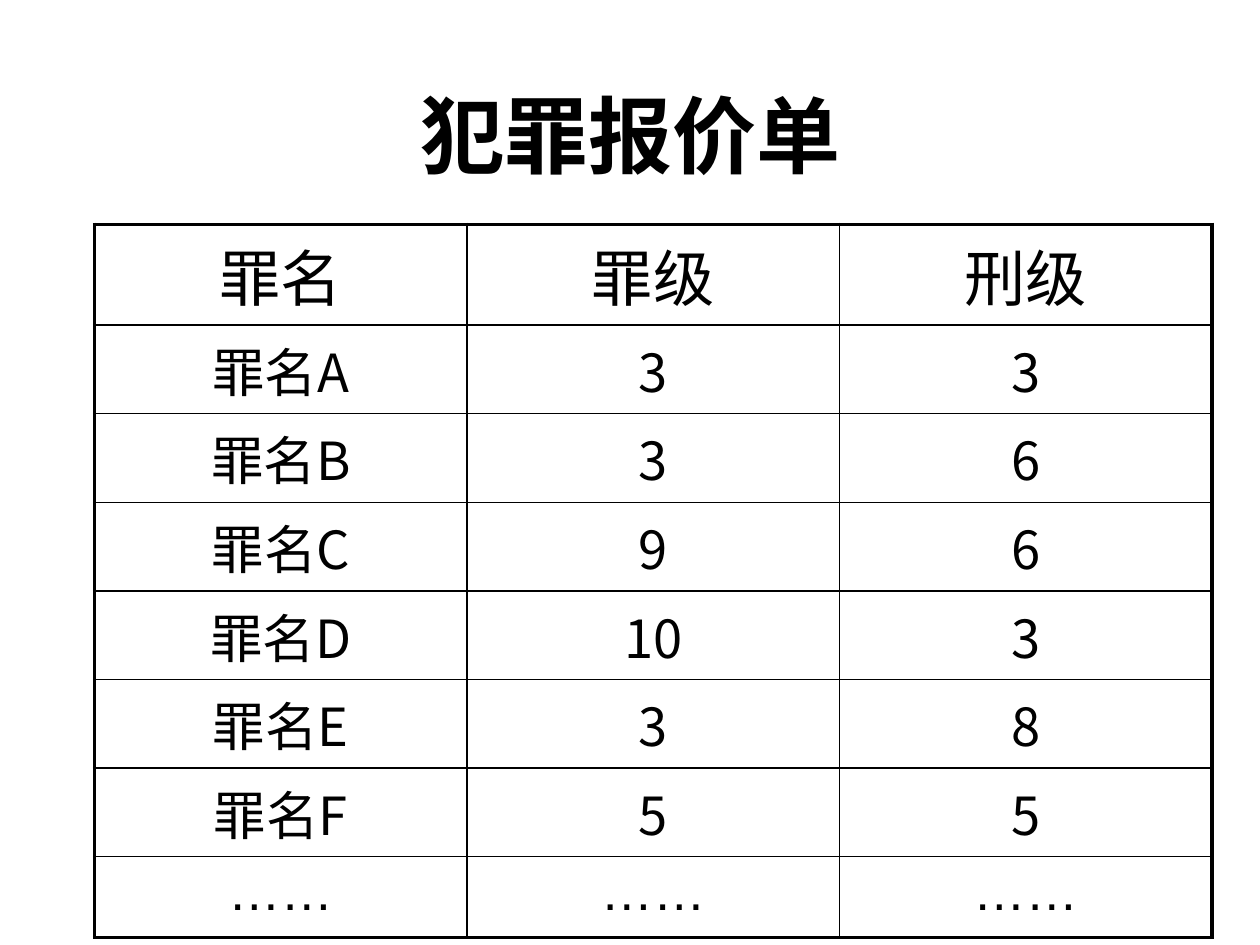
from dataclasses import dataclass

from lxml import etree
from pptx import Presentation
from pptx import util as u
from pptx.dml.color import RGBColor
from pptx.enum import text
from pptx.oxml import ns


@dataclass(frozen=True)
class Theme:
    ink: str = "000000"
    title_font: str = "Arial"
    header_font: str = "Noto Sans CJK JP"
    body_font: str = "Noto Sans CJK SC"
    title_size: int = 48
    header_size: int = 35
    body_size: int = 30
    outer_line: float = 2.25
    inner_line: float = 1


THEME = Theme()

ROWS = [
    ("罪名", "罪级", "刑级"),
    ("罪名A", "3", "3"),
    ("罪名B", "3", "6"),
    ("罪名C", "9", "6"),
    ("罪名D", "10", "3"),
    ("罪名E", "3", "8"),
    ("罪名F", "5", "5"),
    ("……", "……", "……"),
]

# Heights in inches: the rows between header and ellipsis share one block
HEADER_HEIGHT, BODY_HEIGHT, LAST_HEIGHT = 0.8, 4.22, 0.64


def style_paragraph(para, font_name, size, bold=False):
    para.alignment = text.PP_ALIGN.CENTER
    font = para.font
    font.name, font.size, font.bold = font_name, u.Pt(size), bold
    font.color.rgb = RGBColor.from_string(THEME.ink)
    # East Asian characters take the same typeface
    defaults = para._p.pPr.find(ns.qn("a:defRPr"))
    etree.SubElement(defaults, ns.qn("a:ea"), typeface=font_name)


def space_before_percent(para, percent):
    para.space_before = u.Pt(0)
    spacing = para._p.pPr.find(ns.qn("a:spcBef"))
    spacing.remove(spacing[0])
    etree.SubElement(spacing, ns.qn("a:spcPct"), val=str(percent * 1000))


def set_borders(cell, outer_sides):
    properties = cell._tc.get_or_add_tcPr()
    for side in "LRTB":
        width = THEME.outer_line if side in outer_sides else THEME.inner_line
        line = etree.SubElement(properties, ns.qn(f"a:ln{side}"), w=str(u.Pt(width)))
        fill = etree.SubElement(line, ns.qn("a:solidFill"))
        etree.SubElement(fill, ns.qn("a:srgbClr"), val=THEME.ink)


def add_title(page, words):
    box = page.shapes.add_textbox(
        u.Inches(0.63), u.Inches(0.45), u.Inches(8.75), u.Inches(1.22))
    frame = box.text_frame
    frame.word_wrap = True
    frame.vertical_anchor = text.MSO_ANCHOR.MIDDLE
    frame.margin_left = frame.margin_right = frame.margin_top = frame.margin_bottom = 0
    frame.text = words
    style_paragraph(frame.paragraphs[0], THEME.title_font, THEME.title_size, bold=True)


def add_price_table(page, rows):
    last_row, last_column = len(rows) - 1, len(rows[0]) - 1
    table = page.shapes.add_table(
        len(rows), len(rows[0]), u.Inches(0.75), u.Inches(1.78), u.Inches(8.87),
        u.Inches(HEADER_HEIGHT + BODY_HEIGHT + LAST_HEIGHT)).table
    table.first_row = table.horz_banding = False
    heights = {0: HEADER_HEIGHT, last_row: LAST_HEIGHT}
    for row_index, row in enumerate(table.rows):
        row.height = u.Inches(heights.get(row_index, BODY_HEIGHT / (len(rows) - 2)))

    for row_index, values in enumerate(rows):
        # The header and the closing ellipsis row have their own typefaces
        size = THEME.body_size if row_index else THEME.header_size
        font_name = {0: THEME.header_font, last_row: THEME.title_font}.get(
            row_index, THEME.body_font)
        for column_index, value in enumerate(values):
            cell = table.cell(row_index, column_index)
            cell.text = value
            para = cell.text_frame.paragraphs[0]
            style_paragraph(para, font_name, size)
            space_before_percent(para, 20)
            # The frame around the table is heavier than the inner grid
            edges = {"L": column_index == 0, "R": column_index == last_column,
                     "T": row_index == 0, "B": row_index == last_row}
            set_borders(cell, [side for side, outer in edges.items() if outer])
            cell.fill.background()


def main():
    deck = Presentation()
    deck.slide_width, deck.slide_height = u.Inches(10), u.Inches(7.5)
    page = deck.slides.add_slide(deck.slide_layouts[6])
    add_title(page, "犯罪报价单")
    add_price_table(page, ROWS)
    deck.save("out.pptx")


if __name__ == "__main__":
    main()
